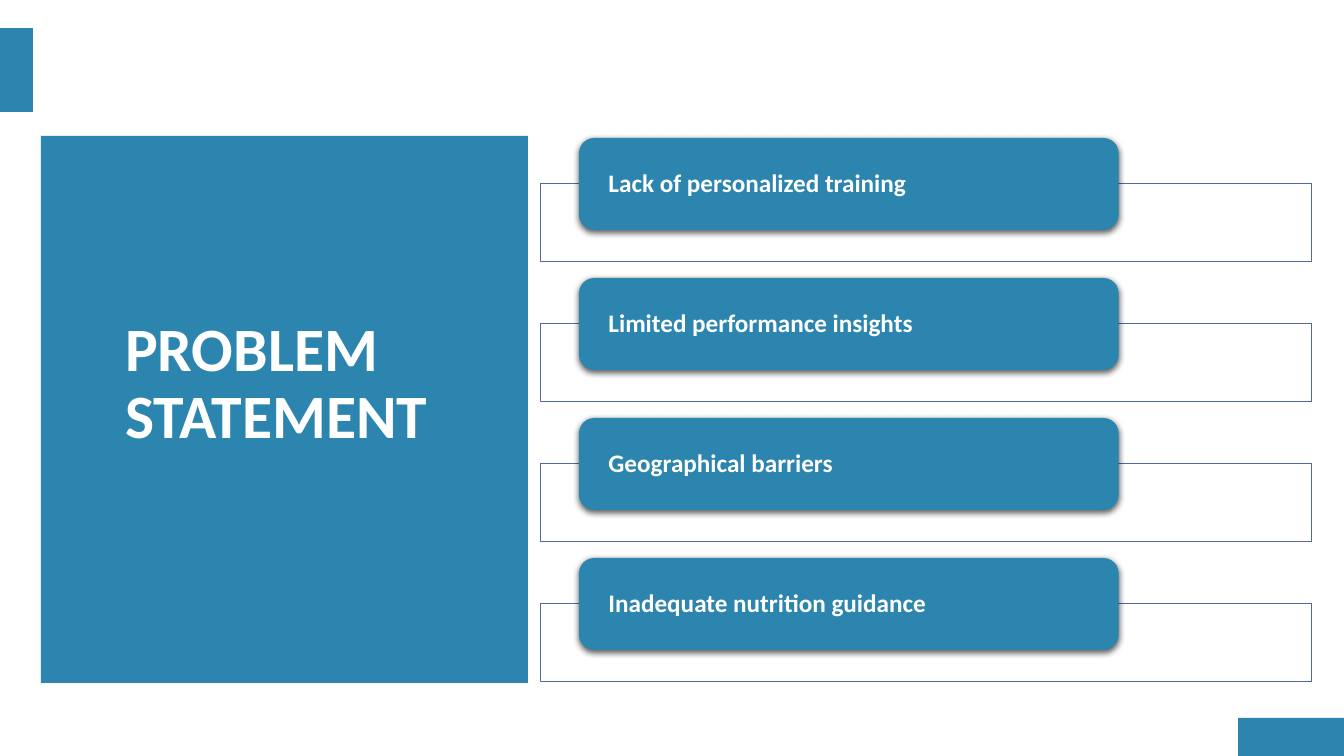
from lxml.etree import SubElement
from pptx import Presentation
from pptx.dml.color import RGBColor
from pptx.enum.shapes import MSO_SHAPE as Shape
from pptx.enum.text import MSO_ANCHOR as Anchor, MSO_AUTO_SIZE as AutoSize, PP_ALIGN as Align
from pptx.oxml.ns import qn
from pptx.util import Emu, Pt

PX = 914400 / 100.8
BLUE, WHITE, OUTLINE = "2C85AE", "FFFFFF", "5268A5"
PROBLEMS = [
    "Lack of personalized training",
    "Limited performance insights",
    "Geographical barriers",
    "Inadequate nutrition guidance",
]


def px(length):
    return Emu(round(length * PX))


def color(code):
    return RGBColor.from_string(code)


def add_block(shapes, kind, box, fill):
    block = shapes.add_shape(kind, *map(px, box))
    block.shadow.inherit = False
    block.fill.solid()
    block.fill.fore_color.rgb = color(fill)
    block.line.fill.background()
    return block


def write_text(shape, text, size, inset):
    frame = shape.text_frame
    frame.text = text
    frame.word_wrap = True
    frame.auto_size = AutoSize.NONE
    frame.vertical_anchor = Anchor.MIDDLE
    frame.margin_left = frame.margin_right = px(inset)
    frame.margin_top = frame.margin_bottom = 0
    para = frame.paragraphs[0]
    para.alignment = Align.LEFT
    para.line_spacing = 0.9
    for span in para.runs:
        span.font.name = "Calibri"
        span.font.size = Pt(size)
        span.font.bold = True
        span.font.color.rgb = color(WHITE)


def add_shadow(shape):
    effects = shape._element.spPr.find(qn("a:effectLst"))
    shadow = SubElement(effects, qn("a:outerShdw"), blurRad=str(Pt(4.5)),
                        dist=str(Pt(1.5)), dir="5400000", rotWithShape="0")
    black = SubElement(shadow, qn("a:srgbClr"), val="000000")
    SubElement(black, qn("a:alpha"), val="63000")


# Decorative accents at the slide edges
def add_accents(page, width, height):
    add_block(page.shapes, Shape.RECTANGLE, (width - 106, height - 38, 106, 38), BLUE)
    add_block(page.shapes, Shape.RECTANGLE, (0, 28, 33, 84), BLUE)


# Blue panel with the slide title
def add_title_panel(page, left, top, width, height):
    panel = add_block(page.shapes, Shape.RECTANGLE, (left, top, width, height), BLUE)
    title = page.shapes.title
    title.left, title.top = px(left + 74), px(top + 105)
    title.width, title.height = px(337), px(288)
    write_text(title, "PROBLEM\vSTATEMENT", 44, 10)
    panel._element.addnext(title._element)  # title in front of its panel


# Outlined rows, each with a rounded label on its top edge
def add_problem_list(page, left, top, width, height):
    group = page.shapes.add_group_shape()
    row_height, label_height = 78, 92
    drop = label_height // 2 - 1
    pitch = (height - drop - row_height) / (len(PROBLEMS) - 1)
    for index, problem in enumerate(PROBLEMS):
        label_top = top + index * pitch
        row = add_block(group.shapes, Shape.RECTANGLE,
                        (left, label_top + drop, width, row_height), WHITE)
        row.line.color.rgb = color(OUTLINE)
        row.line.width = Pt(0.5)
        label = add_block(group.shapes, Shape.ROUNDED_RECTANGLE,
                          (left + 39, label_top, width * 0.7, label_height), BLUE)
        add_shadow(label)
        write_text(label, problem, 18, 25)


def main():
    deck = Presentation()
    deck.slide_width, deck.slide_height = px(1344), px(756)
    page = deck.slides.add_slide(deck.slide_layouts[5])
    add_accents(page, 1344, 756)
    add_title_panel(page, 41, 136, 487, 547)
    add_problem_list(page, 540, 138, 771, 543)
    deck.save("out.pptx")


if __name__ == "__main__":
    main()
